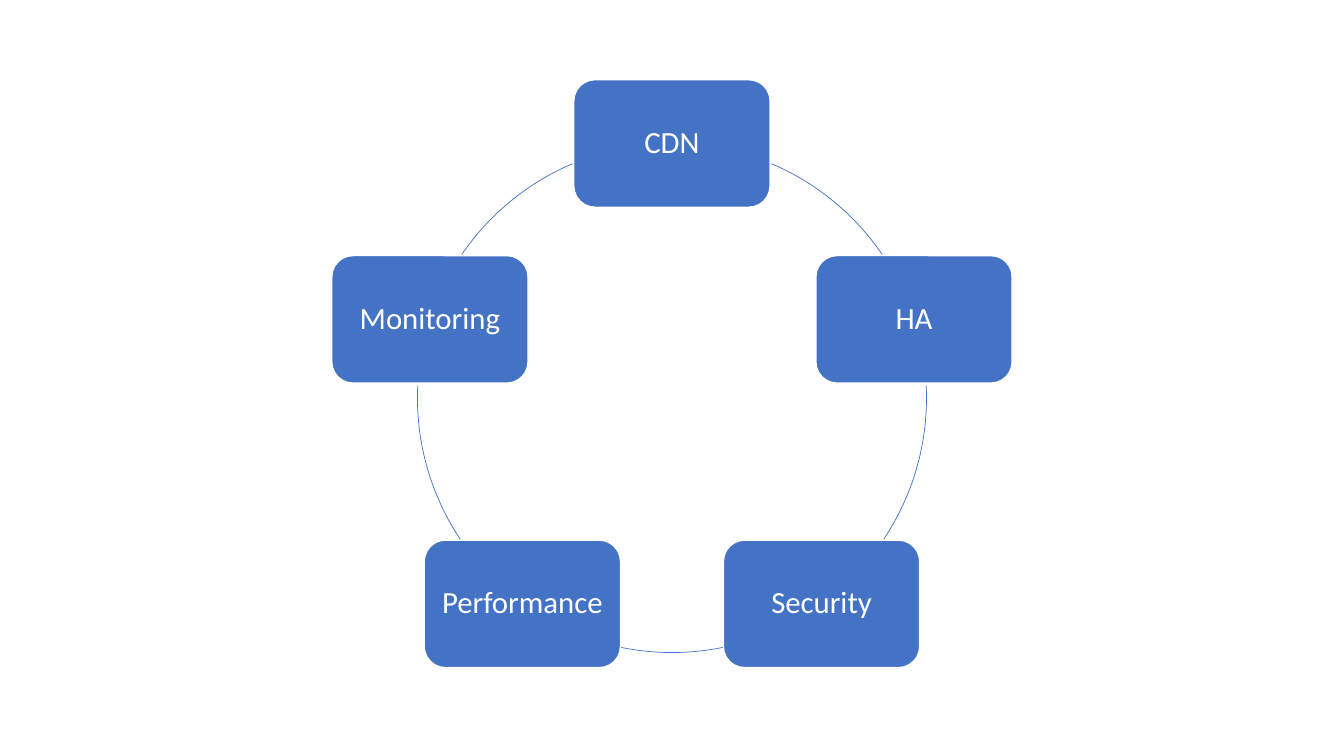
from math import cos, radians, sin

from pptx import Presentation
from pptx.dml.color import RGBColor
from pptx.enum.shapes import MSO_SHAPE
from pptx.enum.text import MSO_ANCHOR, PP_ALIGN
from pptx.util import Pt

ROUNDED = MSO_SHAPE.ROUNDED_RECTANGLE
ARC = MSO_SHAPE.ARC
MIDDLE = MSO_ANCHOR.MIDDLE
CENTER = PP_ALIGN.CENTER

COLORS = {"blue": "4472C4", "white": "FFFFFF"}
BLUE = RGBColor.from_string(COLORS["blue"])
WHITE = RGBColor.from_string(COLORS["white"])

CENTER_X, CENTER_Y, RADIUS = 480, 284.3, 181.8
BOX_WIDTH, BOX_HEIGHT = 140.2, 91.1
TEXT_INSET = 6.6

# Each topic with the start and end angle of the arc that follows it,
# in degrees clockwise from the right
TOPICS = [
    ("CDN", 293, 325.65),
    ("HA", 357.2, 33.7),
    ("Security", 78.5, 101.5),
    ("Performance", 146.3, 182.8),
    ("Monitoring", 214.35, 247),
]

presentation = Presentation()
presentation.slide_width = Pt(960)
presentation.slide_height = Pt(540)
slide = presentation.slides.add_slide(presentation.slide_layouts[6])

for index, (topic, arc_start, arc_end) in enumerate(TOPICS):
    angle = radians(index * 360 / len(TOPICS) - 90)
    left = CENTER_X + RADIUS * cos(angle) - BOX_WIDTH / 2
    top = CENTER_Y + RADIUS * sin(angle) - BOX_HEIGHT / 2
    box = slide.shapes.add_shape(ROUNDED, Pt(left), Pt(top), Pt(BOX_WIDTH), Pt(BOX_HEIGHT))
    box.shadow.inherit = False
    box.fill.solid()
    box.fill.fore_color.rgb = BLUE
    box.line.color.rgb = WHITE
    box.line.width = Pt(1)

    text_frame = box.text_frame
    text_frame.word_wrap = True
    text_frame.vertical_anchor = MIDDLE
    text_frame.margin_left = text_frame.margin_right = Pt(TEXT_INSET)
    text_frame.margin_top = text_frame.margin_bottom = Pt(TEXT_INSET)
    paragraph = text_frame.paragraphs[0]
    paragraph.text = topic
    paragraph.alignment = CENTER
    paragraph.line_spacing = 0.9
    paragraph.font.name = "Calibri"
    paragraph.font.size = Pt(22)
    paragraph.font.color.rgb = WHITE

    arc = slide.shapes.add_shape(
        ARC, Pt(CENTER_X - RADIUS), Pt(CENTER_Y - RADIUS), Pt(2 * RADIUS), Pt(2 * RADIUS)
    )
    arc.shadow.inherit = False
    arc.fill.background()
    arc.line.color.rgb = BLUE
    arc.line.width = Pt(0.5)
    # Adjustments count in units of 100000, angles in 60000ths of a degree
    arc.adjustments[0] = arc_start * 0.6
    arc.adjustments[1] = arc_end * 0.6

presentation.save("out.pptx")
